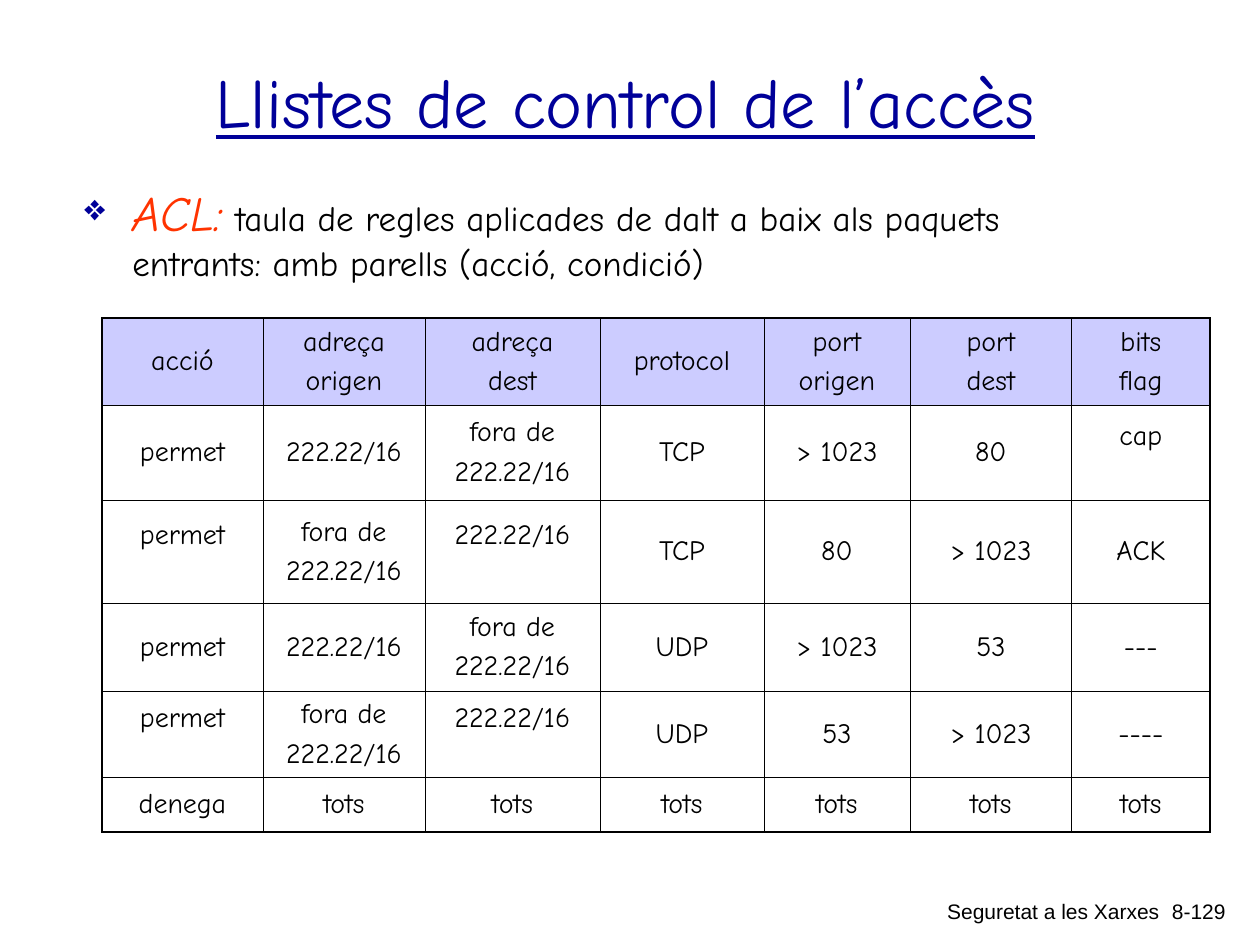
from lxml import etree
from pptx import Presentation
from pptx import util as u
from pptx.dml.color import RGBColor
from pptx.enum import text
from pptx.oxml import ns

PX = u.Inches(1) / 126
BLACK = RGBColor(0x00, 0x00, 0x00)
NAVY = RGBColor(0x00, 0x00, 0x99)
ORANGE = RGBColor(0xFF, 0x33, 0x00)
LAVENDER = RGBColor(0xCC, 0xCC, 0xFF)
HAND, SANS = "Comic Neue", "Arial"
CENTER, RIGHT = text.PP_ALIGN.CENTER, text.PP_ALIGN.RIGHT


def add_run(paragraph, words, size, color=BLACK, name=HAND):
    run = paragraph.add_run()
    run.text = words
    run.font.size = u.Pt(size)
    run.font.name = name
    run.font.color.rgb = color
    return run


def add_box(left, top, width, height):
    box = slide.shapes.add_textbox(*(round(n * PX) for n in (left, top, width, height)))
    box.text_frame.word_wrap = True
    return box.text_frame


presentation = Presentation()
presentation.slide_width = round(1260 * PX)
presentation.slide_height = round(945 * PX)
slide = presentation.slides.add_slide(presentation.slide_layouts[6])

# Footer: page number and course name
for words, left, top, width in (("8-129", 1145, 892, 93),
                                ("Seguretat a les Xarxes", 640, 892, 532)):
    paragraph = add_box(left, top, width, 42).paragraphs[0]
    paragraph.alignment = RIGHT
    add_run(paragraph, words, 12, name=SANS)

# Table of rules: a line break splits a cell into paragraphs
rules = [
    ["acció", "adreça\norigen", "adreça\ndest", "protocol", "port\norigen", "port\ndest", "bits\nflag"],
    ["permet", "222.22/16", "fora de\n222.22/16", "TCP", "> 1023", "80", "cap"],
    ["permet", "fora de\n222.22/16", "222.22/16", "TCP", "80", "> 1023", "ACK"],
    ["permet", "222.22/16", "fora de\n222.22/16", "UDP", "> 1023", "53", "---"],
    ["permet", "fora de\n222.22/16", "222.22/16", "UDP", "53", "> 1023", "----"],
    ["denega"] + ["tots"] * 6,
]
column_widths = [161, 162, 175, 164, 146, 162, 138]
row_heights = [87, 95, 103, 88, 87, 54]
raised_cells = {(1, 6), (2, 0), (2, 2), (4, 0), (4, 2)}
last_row, last_column = len(row_heights) - 1, len(column_widths) - 1

table = slide.shapes.add_table(
    len(row_heights), len(column_widths), round(102 * PX), round(318 * PX),
    round(sum(column_widths) * PX), round(sum(row_heights) * PX)).table
table.first_row = table.horz_banding = False
for column, width in zip(table.columns, column_widths):
    column.width = round(width * PX)
for row, height in zip(table.rows, row_heights):
    row.height = round(height * PX)

for i, rule in enumerate(rules):
    for j, words in enumerate(rule):
        cell = table.cell(i, j)
        cell.vertical_anchor = text.MSO_ANCHOR.MIDDLE
        if (i, j) in raised_cells:
            cell.margin_bottom = round(38 * PX)

        # Thick outer frame, thin inner lines
        properties = cell._tc.get_or_add_tcPr()
        for side, outer in (("L", j == 0), ("R", j == last_column),
                            ("T", i == 0), ("B", i == last_row)):
            line = etree.SubElement(properties, ns.qn("a:ln" + side),
                                    w=str(u.Pt(1.08 if outer else 0.45)))
            fill = etree.SubElement(line, ns.qn("a:solidFill"))
            etree.SubElement(fill, ns.qn("a:srgbClr"), val=str(BLACK))

        if i == 0:
            cell.fill.solid()
            cell.fill.fore_color.rgb = LAVENDER
        else:
            cell.fill.background()

        for k, part in enumerate(words.split("\n")):
            if k == 0:
                paragraph = cell.text_frame.paragraphs[0]
            else:
                paragraph = cell.text_frame.add_paragraph()
                paragraph.space_before = u.Pt(4)
            paragraph.alignment = CENTER
            add_run(paragraph, part, 16)

# Title
title = add_box(73, 32, 1105, 137)
title.vertical_anchor = text.MSO_ANCHOR.MIDDLE
title.paragraphs[0].alignment = CENTER
add_run(title.paragraphs[0], "Llistes de control de l’accès", 40, NAVY).font.underline = True

# Definition with a diamond bullet
paragraph = add_box(72, 176, 1071, 140).paragraphs[0]
properties = paragraph._p.get_or_add_pPr()
indent = round(48 * PX)
properties.set("marL", str(indent))
properties.set("indent", str(-indent))
bullet_color = etree.SubElement(properties, ns.qn("a:buClr"))
etree.SubElement(bullet_color, ns.qn("a:srgbClr"), val=str(NAVY))
etree.SubElement(properties, ns.qn("a:buSzPct"), val="75000")
etree.SubElement(properties, ns.qn("a:buChar"), char="❖")
add_run(paragraph, "ACL:", 28, ORANGE).font.italic = True
add_run(paragraph, " taula de regles aplicades de dalt a baix als paquets "
                   "entrants: amb parells (acció, condició)", 20)

presentation.save("out.pptx")
